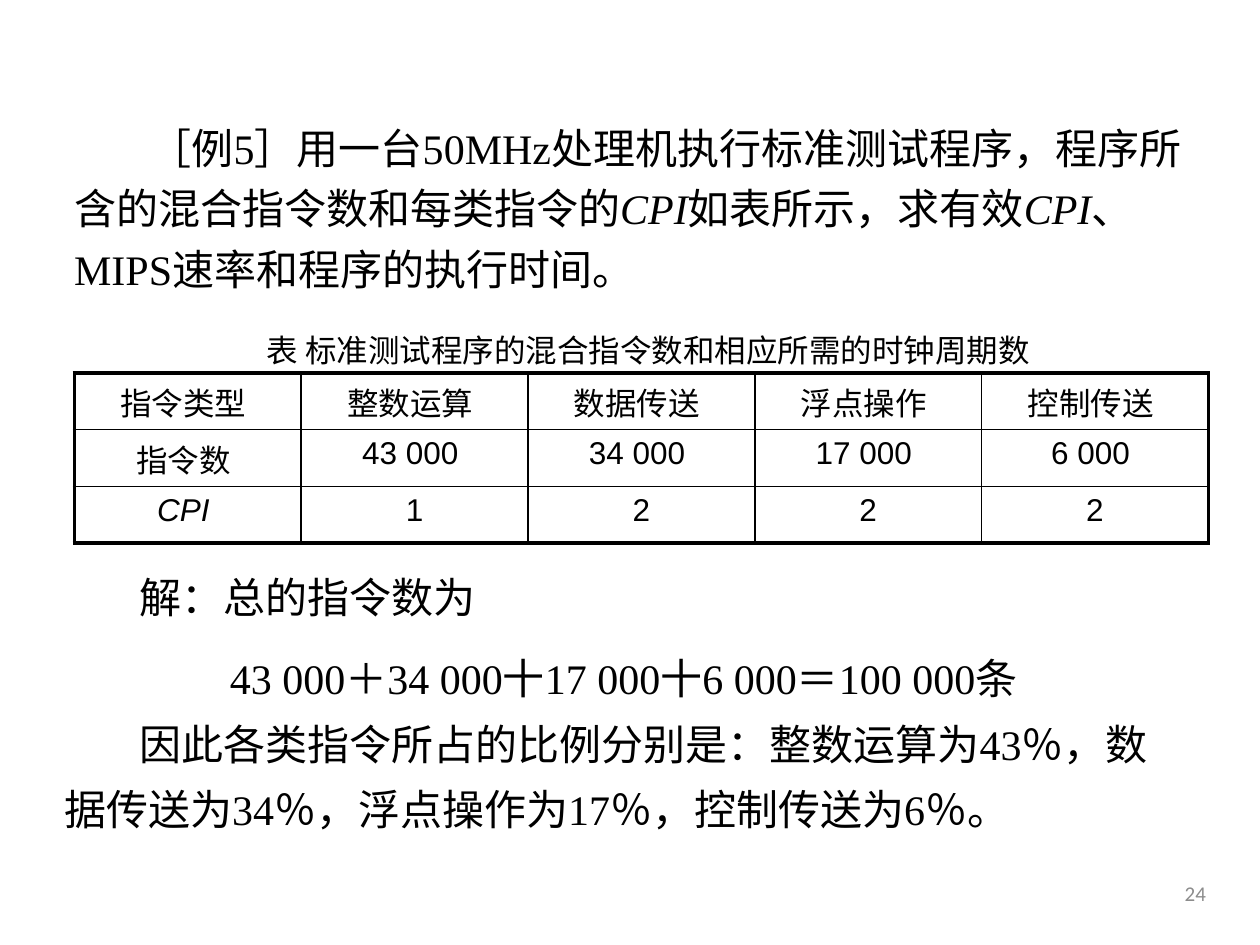
from lxml import etree
from pptx import Presentation
from pptx.dml.color import RGBColor
from pptx.enum.text import MSO_ANCHOR, PP_ALIGN
from pptx.oxml.ns import qn
from pptx.util import Inches, Pt

CENTER, RIGHT = PP_ALIGN.CENTER, PP_ALIGN.RIGHT
MIDDLE = MSO_ANCHOR.MIDDLE
SERIF = "Times New Roman"


def style(run, size, face, color="000000"):
    run.font.size = Pt(size)
    run.font.name = face
    run.font.color.rgb = RGBColor.from_string(color)


def add_box(left, top, width, height):
    box = slide.shapes.add_textbox(
        Inches(left), Inches(top), Inches(width), Inches(height))
    box.text_frame.word_wrap = True
    return box.text_frame


prs = Presentation()
prs.slide_width, prs.slide_height = Inches(10), Inches(7.5)
slide = prs.slides.add_slide(prs.slide_layouts[6])

# Page number
frame = add_box(7.17, 6.83, 2.5, 0.52)
frame.vertical_anchor = MIDDLE
frame.text = "24"
para = frame.paragraphs[0]
para.alignment = RIGHT
style(para.runs[0], 12, "Calibri", "8C8C8C")

# Problem and table caption
frame = add_box(0.49, 0.84, 9.31, 2.16)
para = frame.paragraphs[0]
para.line_spacing = 1.2
para._p.get_or_add_pPr().set("indent", str(Inches(0.6)))
parts = ["［例5］用一台50MHz处理机执行标准测试程序，程序所含的混合指令数和每类指令的",
         "CPI", "如表所示，求有效", "CPI", "、MIPS速率和程序的执行时间。"]
for part in parts:
    run = para.add_run()
    run.text = part
    style(run, 24, SERIF)
    run.font.italic = part == "CPI"
para = frame.add_paragraph()
para.text = "表 标准测试程序的混合指令数和相应所需的时钟周期数"
para.alignment = CENTER
para.line_spacing = 2.0
style(para.runs[0], 18, SERIF)

# Instruction table
rows = [
    ["指令类型", "整数运算", "数据传送", "浮点操作", "控制传送"],
    ["指令数", "43 000", "34 000", "17 000", "6 000"],
    ["CPI", "1", "2", "2", "2"],
]
table = slide.shapes.add_table(
    3, 5, Inches(0.59), Inches(2.96), Inches(9), Inches(1.35)).table
table.first_row = table.horz_banding = False
for r, row in enumerate(rows):
    table.rows[r].height = Inches(0.45)
    for c, text in enumerate(row):
        cell = table.cell(r, c)
        cell.text = text
        if len(text) > 1:
            cell.margin_right = Inches(0.17)
        para = cell.text_frame.paragraphs[0]
        para.alignment = CENTER
        style(para.runs[0], 18, "Arial")
        para.runs[0].font.italic = text == "CPI"
        # Thick outer frame, thin inner lines; borders go before the fill
        props = cell._tc.get_or_add_tcPr()
        edges = {"lnL": c == 0, "lnR": c == 4, "lnT": r == 0, "lnB": r == 2}
        for tag, outer in edges.items():
            line = etree.SubElement(props, qn("a:" + tag))
            line.set("w", str(Pt(2.25 if outer else 1)))
            fill = etree.SubElement(line, qn("a:solidFill"))
            etree.SubElement(fill, qn("a:srgbClr")).set("val", "000000")
        cell.fill.background()

# Solution: text, alignment, line spacing, first-line indent
lines = [
    ("解：总的指令数为", None, 1.0, 0.6),
    ("43 000＋34 000十17 000十6 000＝100 000条", CENTER, 1.6, 0),
    ("因此各类指令所占的比例分别是：整数运算为43％，数据传送为34％，"
     "浮点操作为17％，控制传送为6％。", None, 1.3, 0.6),
]
frame = add_box(0.41, 4.49, 9.08, 2.18)
for i, (text, align, space, indent) in enumerate(lines):
    para = frame.add_paragraph() if i else frame.paragraphs[0]
    para.text = text
    para.alignment = align
    para.line_spacing = space
    para._p.get_or_add_pPr().set("indent", str(Inches(indent)))
    style(para.runs[0], 24, SERIF)

prs.save("out.pptx")
